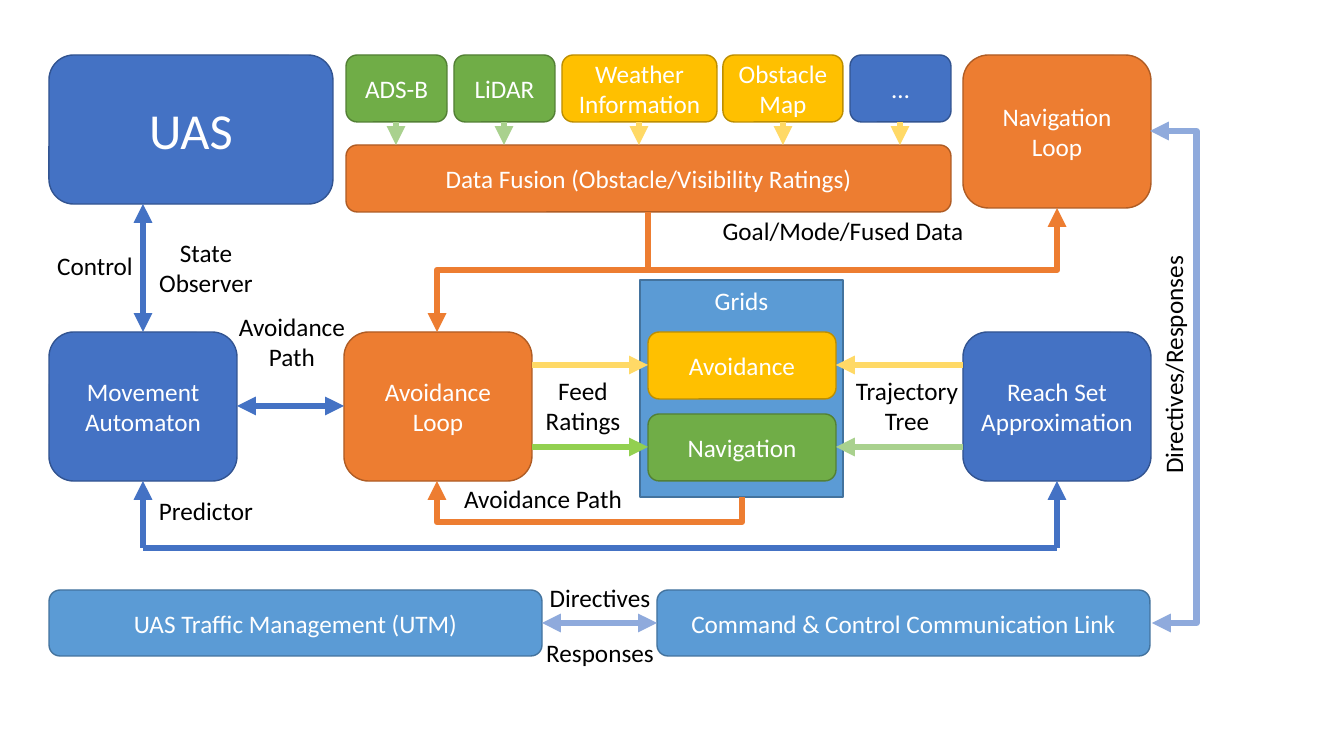
from typing import NamedTuple

from lxml import etree
from pptx import Presentation
from pptx import util as u
from pptx.dml.color import RGBColor
from pptx.enum import shapes, text
from pptx.oxml import ns

PIXEL = 914400 / 100.8
FONT = "Calibri"
COLOURS = {
    "blue": "4472C4", "blue edge": "325491",
    "green": "70AD47", "green edge": "538035",
    "gold": "FFC000", "gold edge": "BD8E00",
    "orange": "ED7D31", "orange edge": "AF5C24",
    "sky": "5B9BD5", "sky edge": "43739E",
    "pale blue": "8FAADC", "pale green": "A9D18E",
    "pale gold": "FFD966", "lime": "92D050",
    "white": "FFFFFF", "black": "000000",
}


class Block(NamedTuple):
    """A filled box with white text, in pixels."""
    words: str
    colour: str
    left: int
    top: int
    width: int
    height: int
    size: int = 18
    rounded: bool = True


class Label(NamedTuple):
    """Black text centred on a point, in pixels."""
    words: str
    x: int
    y: int
    width: int
    rotation: int = 0


class Arrow(NamedTuple):
    """A line with optional arrowheads and at most one turning coordinate."""
    colour: str
    start: tuple[int, int]
    end: tuple[int, int]
    heads: str = "end"  # "end", "both" or "none"
    turn_x: int | None = None
    turn_y: int | None = None


def px(value: float) -> u.Emu:
    """Turn pixels into EMU."""
    return u.Emu(round(value * PIXEL))


def rgb(name: str) -> RGBColor:
    """Look up a named colour."""
    return RGBColor.from_string(COLOURS[name])


def write(shape, words: str, size: int, colour: str) -> None:
    """Put centred, formatted words into a shape."""
    frame = shape.text_frame
    frame.text = words
    for para in frame.paragraphs:
        para.alignment = text.PP_ALIGN.CENTER
        for span in para.runs:
            span.font.name = FONT
            span.font.size = u.Pt(size)
            span.font.color.rgb = rgb(colour)


def draw_block(page, block: Block) -> None:
    """Draw a filled box; a square-cornered one is a panel titled at its top."""
    kinds = shapes.MSO_SHAPE
    kind = kinds.ROUNDED_RECTANGLE if block.rounded else kinds.RECTANGLE
    box = page.shapes.add_shape(kind, px(block.left), px(block.top),
                                px(block.width), px(block.height))
    box.shadow.inherit = False
    box.fill.solid()
    box.fill.fore_color.rgb = rgb(block.colour)
    box.line.color.rgb = rgb(block.colour + " edge")
    box.line.width = u.Pt(1)
    box.text_frame.word_wrap = True
    anchors = text.MSO_ANCHOR
    box.text_frame.vertical_anchor = anchors.MIDDLE if block.rounded else anchors.TOP
    write(box, block.words, block.size, "white")


def draw_label(page, label: Label) -> None:
    """Draw an unwrapped label around its centre."""
    height = 71 if "\n" in label.words else 40
    box = page.shapes.add_textbox(px(label.x - label.width / 2), px(label.y - height / 2),
                                  px(label.width), px(height))
    box.rotation = label.rotation
    box.text_frame.word_wrap = False
    box.text_frame.auto_size = text.MSO_AUTO_SIZE.SHAPE_TO_FIT_TEXT
    write(box, label.words, 18, "black")


def draw_arrow(page, arrow: Arrow) -> None:
    """Draw a straight or three-part line with its arrowheads."""
    (x1, y1), (x2, y2) = arrow.start, arrow.end
    kind, bend = shapes.MSO_CONNECTOR.STRAIGHT, None
    if arrow.turn_x is not None:
        kind, bend = shapes.MSO_CONNECTOR.ELBOW, (arrow.turn_x - x1) / (x2 - x1)
    if arrow.turn_y is not None:
        kind, bend = shapes.MSO_CONNECTOR.ELBOW, (arrow.turn_y - y1) / (y2 - y1)
        # Lay the line out a quarter turn back; the rotation below restores it.
        middle_x, middle_y = (x1 + x2) / 2, (y1 + y2) / 2
        across, down = x1 - middle_x, y1 - middle_y
        x1, y1 = middle_x + down, middle_y - across
        x2, y2 = middle_x - down, middle_y + across
    line = page.shapes.add_connector(kind, px(x1), px(y1), px(x2), px(y2))
    line.line.color.rgb = rgb(arrow.colour)
    line.line.width = u.Pt(4.5)

    properties = line._element.spPr
    if arrow.turn_y is not None:
        properties.find(ns.qn("a:xfrm")).set("rot", "5400000")
    if bend is not None:
        guides = properties.find(ns.qn("a:prstGeom")).get_or_add_avLst()
        etree.SubElement(guides, ns.qn("a:gd"), name="adj1",
                         fmla=f"val {round(bend * 100000)}")
    ends = {"none": (), "end": ("a:tailEnd",), "both": ("a:headEnd", "a:tailEnd")}
    stroke = properties.find(ns.qn("a:ln"))
    for end in ends[arrow.heads]:
        etree.SubElement(stroke, ns.qn(end), type="triangle")
    etree.SubElement(properties, ns.qn("a:effectLst"))


# Sensor row, spread evenly over the data fusion bar
FUSION = Block("Data Fusion (Obstacle/Visibility Ratings)", "orange", 346, 145, 605, 67)
SENSORS = [
    ("ADS-B", "green", 101, "pale green"),
    ("LiDAR", "green", 101, "pale green"),
    ("Weather Information", "gold", 155, "pale gold"),
    ("Obstacle Map", "gold", 120, "pale gold"),
    ("…", "blue", 101, "pale gold"),
]
GAP = (FUSION.width - sum(sensor[2] for sensor in SENSORS)) / (len(SENSORS) - 1)

blocks = [FUSION]
arrows = []
left = FUSION.left
for words, colour, width, arrow_colour in SENSORS:
    blocks.append(Block(words, colour, round(left), 55, width, 67))
    centre = round(left + width / 2)
    arrows.append(Arrow(arrow_colour, (centre, 122), (centre, FUSION.top)))
    left += width + GAP

blocks += [
    Block("Grids", "sky", 640, 280, 203, 217, rounded=False),
    Block("Avoidance", "gold", 648, 332, 188, 67),
    Block("Navigation", "green", 648, 414, 188, 67),
    Block("UAS", "blue", 49, 55, 284, 149, size=36),
    Block("Navigation Loop", "orange", 963, 55, 188, 153),
    Block("Movement Automaton", "blue", 49, 332, 188, 149),
    Block("Avoidance Loop", "orange", 344, 332, 188, 149),
    Block("Reach Set\nApproximation", "blue", 963, 332, 188, 149),
    Block("UAS Traffic Management (UTM)", "sky", 49, 590, 493, 66),
    Block("Command & Control Communication Link", "sky", 657, 590, 493, 66),
]
arrows += [
    Arrow("pale gold", (963, 365), (836, 365)),
    Arrow("pale green", (963, 447), (836, 447)),
    Arrow("pale gold", (532, 365), (648, 365)),
    Arrow("lime", (532, 447), (648, 447)),
    Arrow("orange", (742, 497), (437, 481), turn_y=522),
    Arrow("orange", (437, 332), (1057, 208), "both", turn_y=270),
    Arrow("orange", (648, 212), (648, 270), "none"),
    Arrow("blue", (1057, 548), (1057, 481)),
    Arrow("blue", (143, 548), (143, 481)),
    Arrow("blue", (143, 548), (1057, 548), "none"),
    Arrow("blue", (143, 204), (143, 332), "both"),
    Arrow("blue", (237, 406), (344, 406), "both"),
    Arrow("pale blue", (542, 623), (657, 623), "both"),
    Arrow("pale blue", (1150, 131), (1152, 623), "both", turn_x=1197),
]
labels = [
    Label("Control", 95, 265, 97),
    Label("State\nObserver", 206, 268, 115),
    Label("Avoidance\nPath", 292, 342, 128),
    Label("Feed\nRatings", 583, 406, 96),
    Label("Trajectory\nTree", 907, 406, 129),
    Label("Avoidance Path", 543, 498, 179),
    Label("Predictor", 206, 510, 115),
    Label("Goal/Mode/Fused Data", 843, 230, 264),
    Label("Directives", 600, 597, 122),
    Label("Responses", 600, 652, 129),
    Label("Directives/Responses", 1173, 365, 241, rotation=270),
]

deck = Presentation()
deck.slide_width, deck.slide_height = px(1344), px(756)
page = deck.slides.add_slide(deck.slide_layouts[6])
for block in blocks:
    draw_block(page, block)
for arrow in arrows:
    draw_arrow(page, arrow)
for label in labels:
    draw_label(page, label)
deck.save("out.pptx")
